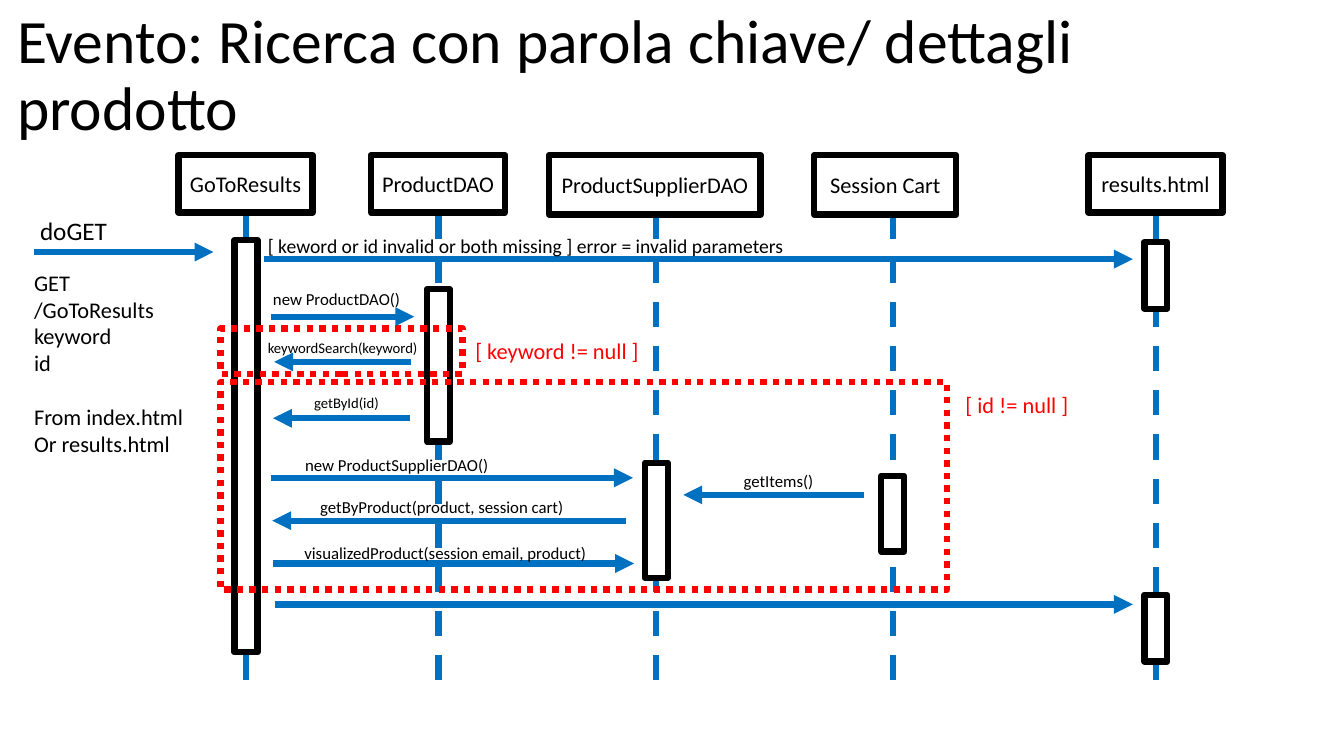
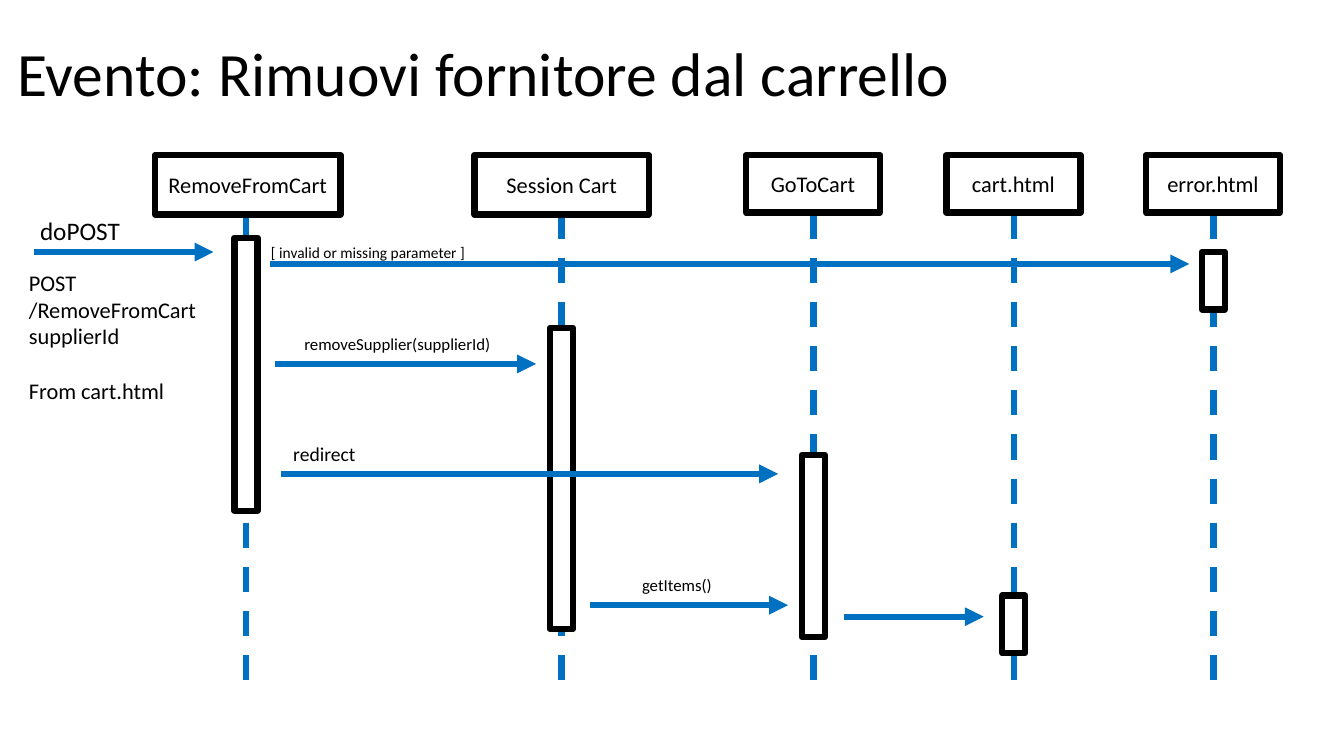
from lxml import etree
from pptx import Presentation
from pptx.dml.color import RGBColor
from pptx.enum.dml import MSO_LINE
from pptx.enum.shapes import MSO_CONNECTOR, MSO_SHAPE
from pptx.enum.text import MSO_ANCHOR, PP_ALIGN
from pptx.oxml.ns import qn
from pptx.util import Cm, Pt

STRAIGHT = MSO_CONNECTOR.STRAIGHT
RECTANGLE = MSO_SHAPE.RECTANGLE
DASH = MSO_LINE.DASH
DOTS = MSO_LINE.ROUND_DOT
MIDDLE = MSO_ANCHOR.MIDDLE
CENTER = PP_ALIGN.CENTER

COLORS = {"ink": "000000", "paper": "FFFFFF", "flow": "0070C0", "condition": "FF0000"}
FONT_NAME = "Calibri"
LINE_WIDTH = Pt(4.5)
LIFELINE_TOP, LIFELINE_BOTTOM = 5.38, 17.42
HEADER_TOP = 3.91
BAR_WIDTH = 0.58
TITLE_BOX = (0.18, 0.1, 28.25, 3.68)
REQUEST_ARROW = (0.86, 5.38, 6.35)
REQUEST_LABEL = (0.76, 5.31, 2.57)
REQUEST_TOP = 6.65
BLANK_LINE = Pt(19.5)

# participants: name, lifeline x, header left, width, height, activation bars (top, height)
# messages: start x, end x, y, label (text, left, top, width, size)
# conditions: frame (left, top, width, height), label (text, left, top, width)
DIAGRAMS = [
    {
        "title": "Evento: Ricerca con parola chiave/ dettagli prodotto",
        "method": "doGET",
        "request": [["GET", "/GoToResults", "keyword", "id"], ["From index.html", "Or results.html"]],
        "request_left": 0.61,
        "participants": [
            ("GoToResults", 6.2, 4.5, 3.38, 1.45, [(6.05, 10.39)]),
            ("ProductDAO", 11.05, 9.35, 3.38, 1.45, [(7.29, 3.84)]),
            ("ProductSupplierDAO", 16.54, 13.84, 5.33, 1.5, [(11.66, 2.9)]),
            ("Session Cart", 22.5, 20.52, 3.58, 1.5, [(11.99, 1.91)]),
            ("results.html", 29.13, 27.43, 3.38, 1.45, [(6.1, 1.68), (14.99, 1.68)]),
        ],
        "messages": [
            (6.65, 28.55, 6.53, ("[ keword or id invalid or both missing ] error = invalid parameters",
                                 6.5, 5.77, 13.67, 14)),
            (6.83, 10.44, 7.98, ("new ProductDAO()", 6.63, 7.16, 3.86, 12)),
            (10.36, 6.91, 9.12, ("keywordSearch(keyword)", 6.5, 8.41, 4.9, 10.5)),
            (10.34, 6.88, 10.54, ("getById(id)", 7.67, 9.8, 2.3, 10.5)),
            (6.83, 15.95, 12.04, ("new ProductSupplierDAO()", 7.44, 11.33, 5.4, 12)),
            (15.77, 6.86, 13.12, ("getByProduct(product, session cart)", 7.82, 12.4, 6.9, 12)),
            (6.88, 15.98, 14.2, ("visualizedProduct(session email, product)", 7.42, 13.54, 7.8, 12)),
            (21.77, 17.22, 12.47, ("getItems()", 18.49, 11.73, 2.5, 12)),
            (6.93, 28.55, 15.23, None),
        ],
        "conditions": [
            ((5.56, 8.28, 6.1, 1.14), ("[ keyword != null ]", 11.73, 8.36, 5.18)),
            ((5.56, 9.63, 18.31, 5.23), ("[ id != null ]", 24.08, 9.73, 3.5)),
        ],
    },
    {
        "title": "Evento: Rimuovi fornitore dal carrello",
        "method": "doPOST",
        "request": [["POST", "/RemoveFromCart", "supplierId"], ["From cart.html"]],
        "request_left": 0.48,
        "participants": [
            ("RemoveFromCart", 6.2, 3.91, 4.67, 1.5, [(5.99, 6.88)]),
            ("Session Cart", 14.15, 11.96, 4.39, 1.5, [(8.26, 7.59)]),
            ("GoToCart", 20.5, 18.8, 3.38, 1.45, [(11.46, 4.6)]),
            ("cart.html", 25.55, 23.85, 3.38, 1.45, [(15.01, 1.45)]),
            ("error.html", 30.58, 28.88, 3.38, 1.45, [(6.35, 1.45)]),
        ],
        "messages": [
            (6.81, 29.97, 6.65, ("[ invalid or missing parameter ]", 6.58, 5.99, 7.14, 11)),
            (6.93, 13.51, 9.17, ("removeSupplier(supplierId)", 7.42, 8.28, 5.64, 12)),
            (7.09, 19.61, 11.94, ("redirect", 7.14, 11.02, 5.26, 14)),
            (14.88, 19.86, 15.25, ("getItems()", 15.93, 14.35, 2.5, 12)),
            (21.26, 24.79, 15.54, None),
        ],
        "conditions": [],
    },
]


def add_text(slide, groups, left, top, width, size, color="ink", height=None):
    line_count = sum(len(group) for group in groups) + len(groups) - 1
    height = height or round(line_count * size * 0.0423 + 0.25, 2)
    box = slide.shapes.add_textbox(Cm(left), Cm(top), Cm(width), Cm(height))
    frame = box.text_frame
    frame.word_wrap = True
    lines = [(text, number > 0 and text is group[0])
             for number, group in enumerate(groups) for text in group]
    for index, (text, starts_group) in enumerate(lines):
        paragraph = frame.add_paragraph() if index else frame.paragraphs[0]
        paragraph.text = text
        if starts_group:
            paragraph.space_before = BLANK_LINE
        for name, value in {"name": FONT_NAME, "size": Pt(size)}.items():
            setattr(paragraph.font, name, value)
        paragraph.font.color.rgb = RGBColor.from_string(COLORS[color])
    return frame


def add_line(slide, start_x, start_y, end_x, end_y, dash=None, arrow=False):
    connector = slide.shapes.add_connector(STRAIGHT, Cm(start_x), Cm(start_y), Cm(end_x), Cm(end_y))
    line = connector.line
    line.color.rgb = RGBColor.from_string(COLORS["flow"])
    for name, value in {"width": LINE_WIDTH, "dash_style": dash}.items():
        setattr(line, name, value)
    if arrow:
        etree.SubElement(line._get_or_add_ln(), qn("a:tailEnd"), type="triangle")
    etree.SubElement(connector._element.spPr, qn("a:effectLst"))


presentation = Presentation()
presentation.slide_width = Cm(33.87)
presentation.slide_height = Cm(19.05)
blank_layout = presentation.slide_layouts[6]

for diagram in DIAGRAMS:
    slide = presentation.slides.add_slide(blank_layout)

    left, top, width, height = TITLE_BOX
    title = add_text(slide, [[diagram["title"]]], left, top, width, 44, height=height)
    title.vertical_anchor = MIDDLE
    title.paragraphs[0].line_spacing = 0.9

    boxes = []
    for name, center, left, width, height, bars in diagram["participants"]:
        add_line(slide, center, LIFELINE_TOP, center, LIFELINE_BOTTOM, dash=DASH)
        boxes.append(((left, HEADER_TOP, width, height), "ink", name))
        for bar_top, bar_height in bars:
            boxes.append(((center - BAR_WIDTH / 2, bar_top, BAR_WIDTH, bar_height), "ink", None))
    for frame_box, label in diagram["conditions"]:
        boxes.append((frame_box, "condition", None))

    for lengths, line_color, name in boxes:
        shape = slide.shapes.add_shape(RECTANGLE, *[Cm(length) for length in lengths])
        shape.shadow.inherit = False
        shape.line.color.rgb = RGBColor.from_string(COLORS[line_color])
        shape.line.width = LINE_WIDTH
        if line_color == "condition":
            shape.fill.background()
            shape.line.dash_style = DOTS
        else:
            shape.fill.solid()
            shape.fill.fore_color.rgb = RGBColor.from_string(COLORS["paper"])
        if name:
            frame = shape.text_frame
            for side, value in {"margin_left": 0, "margin_right": 0,
                                "vertical_anchor": MIDDLE, "word_wrap": True}.items():
                setattr(frame, side, value)
            paragraph = frame.paragraphs[0]
            paragraph.text = name
            paragraph.alignment = CENTER
            for attribute, value in {"name": FONT_NAME, "size": Pt(16)}.items():
                setattr(paragraph.font, attribute, value)
            paragraph.font.color.rgb = RGBColor.from_string(COLORS["ink"])

    request_message = (*REQUEST_ARROW, (diagram["method"], *REQUEST_LABEL, 18))
    for start, end, y, label in [request_message, *diagram["messages"]]:
        add_line(slide, start, y, end, y, arrow=True)
        if label:
            text, left, top, width, size = label
            add_text(slide, [[text]], left, top, width, size)

    add_text(slide, diagram["request"], diagram["request_left"], REQUEST_TOP, 4.78, 16)
    for frame_box, (text, left, top, width) in diagram["conditions"]:
        add_text(slide, [[text]], left, top, width, 16, color="condition")

presentation.save("out.pptx")
